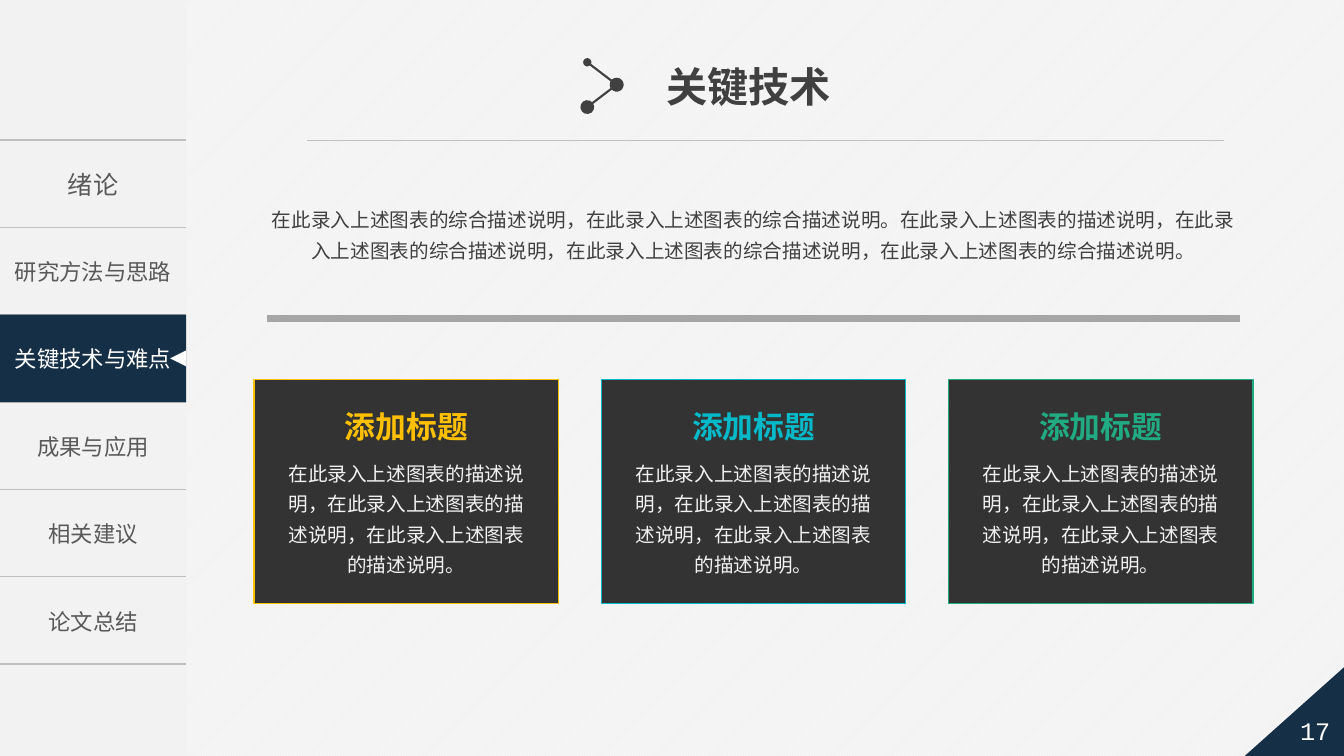
from lxml import etree
from pptx import Presentation
from pptx.dml.color import RGBColor
from pptx.enum import dml, shapes, text
from pptx.oxml import ns
from pptx.util import Pt

COLORS = {
    "paper": "F2F2F2", "white": "FFFFFF", "navy": "152F47", "card": "333333",
    "ink": "404040", "menu": "595959", "rule": "BFBFBF", "bar": "A6A6A6",
    "yellow": "FFC000", "cyan": "05BAC8", "green": "21AB82",
}
CJK = "Noto Sans CJK SC"
SIDEBAR_WIDTH = 133
MENU_TOP, MENU_ROW = 100, 62.4
CHAPTERS = ["绪论", "研究方法与思路", "关键技术与难点", "成果与应用", "相关建议", "论文总结"]
CURRENT = 2
SUMMARY = ("在此录入上述图表的综合描述说明，在此录入上述图表的综合描述说明。"
           "在此录入上述图表的描述说明，在此录入上述图表的综合描述说明，"
           "在此录入上述图表的综合描述说明，在此录入上述图表的综合描述说明。")
CARD_TITLE = "添加标题"
CARD_BODY = "在此录入上述图表的描述说明，在此录入上述图表的描述说明，在此录入上述图表的描述说明。"


def rgb(name):
    return RGBColor.from_string(COLORS[name])


def sub(parent, tag, **attributes):
    return etree.SubElement(parent, ns.qn(tag), attributes)


def write(frame, words, size, color, font=CJK, bold=False, spacing=None,
          align=text.PP_ALIGN.CENTER):
    """Put one formatted paragraph into a text frame."""
    paragraph = frame.paragraphs[0]
    paragraph.alignment = align
    if spacing:
        paragraph.line_spacing = spacing
    run = paragraph.add_run()
    run.text = words
    for key, value in {"size": Pt(size), "name": font, "bold": bold}.items():
        setattr(run.font, key, value)
    run.font.color.rgb = rgb(color)
    sub(run.font._element, "a:ea", typeface=CJK)


def add_label(slide, box, words, size, color, wrap=True, inset=(7.2, 3.6), **style):
    frame = slide.shapes.add_textbox(*map(Pt, box)).text_frame
    across, down = map(Pt, inset)
    layout = {"word_wrap": wrap, "margin_left": across, "margin_right": across,
              "margin_top": down, "margin_bottom": down,
              "vertical_anchor": text.MSO_ANCHOR.MIDDLE}
    for key, value in layout.items():
        setattr(frame, key, value)
    write(frame, words, size, color, **style)


def add_block(slide, box, fill, line=None, kind=shapes.MSO_SHAPE.RECTANGLE):
    block = slide.shapes.add_shape(kind, *map(Pt, box))
    block.shadow.inherit = False
    block.fill.solid()
    block.fill.fore_color.rgb = rgb(fill)
    if line:
        block.line.color.rgb = rgb(line)
        block.line.width = Pt(1)
    else:
        block.line.fill.background()
    return block


def add_line(slide, start, end, color, width, dots=()):
    """Draw a line; dots gives the sizes of the round ends."""
    line = slide.shapes.add_connector(
        shapes.MSO_CONNECTOR.STRAIGHT, *map(Pt, (*start, *end)))
    line.line.color.rgb = rgb(color)
    line.line.width = Pt(width)
    stroke = line.line._get_or_add_ln()
    for tag, dot in zip(("a:headEnd", "a:tailEnd"), dots):
        sub(stroke, tag, type="oval", w=dot, len=dot)
    sub(line._element.spPr, "a:effectLst")


def rule_cell(cell):
    """Give a cell hairlines above and below, and none at its sides."""
    properties = cell._tc.get_or_add_tcPr()
    for index, tag in enumerate(("a:lnL", "a:lnR", "a:lnT", "a:lnB")):
        edge = etree.Element(ns.qn(tag), w=str(Pt(1)))
        if index < 2:
            sub(edge, "a:noFill")
        else:
            sub(sub(edge, "a:solidFill"), "a:srgbClr", val=COLORS["rule"])
        properties.insert(index, edge)


def add_menu(slide, left, top, width, row_height):
    menu = slide.shapes.add_table(
        len(CHAPTERS), 1, *map(Pt, (left, top, width, row_height * len(CHAPTERS)))).table
    menu.first_row = menu.horz_banding = False
    for index, chapter in enumerate(CHAPTERS):
        cell = menu.cell(index, 0)
        cell.fill.background()
        cell.vertical_anchor = text.MSO_ANCHOR.MIDDLE
        cell.margin_left = cell.margin_right = Pt(3.6)
        write(cell.text_frame, chapter, 16 if index else 18, "menu")
        rule_cell(cell)

    row_top = top + CURRENT * row_height
    marker = add_block(slide, (left, row_top, width, row_height), "navy")
    marker.text_frame.margin_left = marker.text_frame.margin_right = Pt(3.6)
    marker.text_frame.vertical_anchor = text.MSO_ANCHOR.MIDDLE
    write(marker.text_frame, CHAPTERS[CURRENT], 16, "white")
    side = 11.5
    pointer = add_block(
        slide, (left + width - side, row_top + (row_height - side) / 2, side, side),
        "white", kind=shapes.MSO_SHAPE.ISOSCELES_TRIANGLE)
    pointer.rotation = 270


def add_heading(slide, left, top, width, height):
    icon_left, icon_top = left + 200, top + 4.5
    tip = (icon_left + 21, icon_top + 16)
    add_line(slide, (icon_left, icon_top), tip, "ink", 1.5, ("med", "lg"))
    add_line(slide, tip, (icon_left, icon_top + 32), "ink", 1.5, ("lg", "lg"))
    add_label(slide, (left + 249.5, top, 133, 42.5), "关键技术", 29.4, "ink", wrap=False,
              font="Arial", bold=True, align=text.PP_ALIGN.LEFT)
    add_line(slide, (left, top + height), (left + width, top + height), "rule", 0.5)


def add_summary(slide, left, top, width, height):
    add_label(slide, (left, top, width, 51), SUMMARY, 14, "ink", spacing=1.3)
    add_line(slide, (left + 9, top + height), (left + width - 9, top + height), "bar", 4.5)


def add_card(slide, left, top, width, height, accent):
    add_block(slide, (left, top, width, height), "card", accent)
    add_label(slide, (left, top + 16, width, 34), CARD_TITLE, 22, accent, bold=True)
    add_label(slide, (left + 13, top + 49, width - 26, 96), CARD_BODY, 14, "paper",
              spacing=1.3)


def add_page_corner(slide, left, top, width, height):
    corner = add_block(slide, (left, top, width, height), "navy",
                       kind=shapes.MSO_SHAPE.RIGHT_TRIANGLE)
    corner._element.spPr.xfrm.set("flipH", "1")
    add_label(slide, (left + 31, top + 28, 41, 40), "17", 18, "white",
              inset=(0, 0), font="Courier New")


def main():
    deck = Presentation()
    deck.slide_width, deck.slide_height = Pt(960), Pt(540)
    slide = deck.slides.add_slide(deck.slide_layouts[6])
    backdrop = slide.background.fill
    backdrop.patterned()
    backdrop.pattern = dml.MSO_PATTERN.LIGHT_UPWARD_DIAGONAL
    backdrop.fore_color.rgb, backdrop.back_color.rgb = rgb("white"), rgb("paper")

    add_block(slide, (0, 0, SIDEBAR_WIDTH, 540), "paper")
    add_menu(slide, 0, MENU_TOP, SIDEBAR_WIDTH, MENU_ROW)
    add_page_corner(slide, 888, 474, 75, 67)
    add_heading(slide, 219.5, 40, 654.5, 60)
    add_summary(slide, 181.5, 140, 713.5, 87.5)
    for index, accent in enumerate(("yellow", "cyan", "green")):
        add_card(slide, 181.5 + 248 * index, 271.3, 217.5, 160, accent)
    deck.save("out.pptx")


if __name__ == "__main__":
    main()
